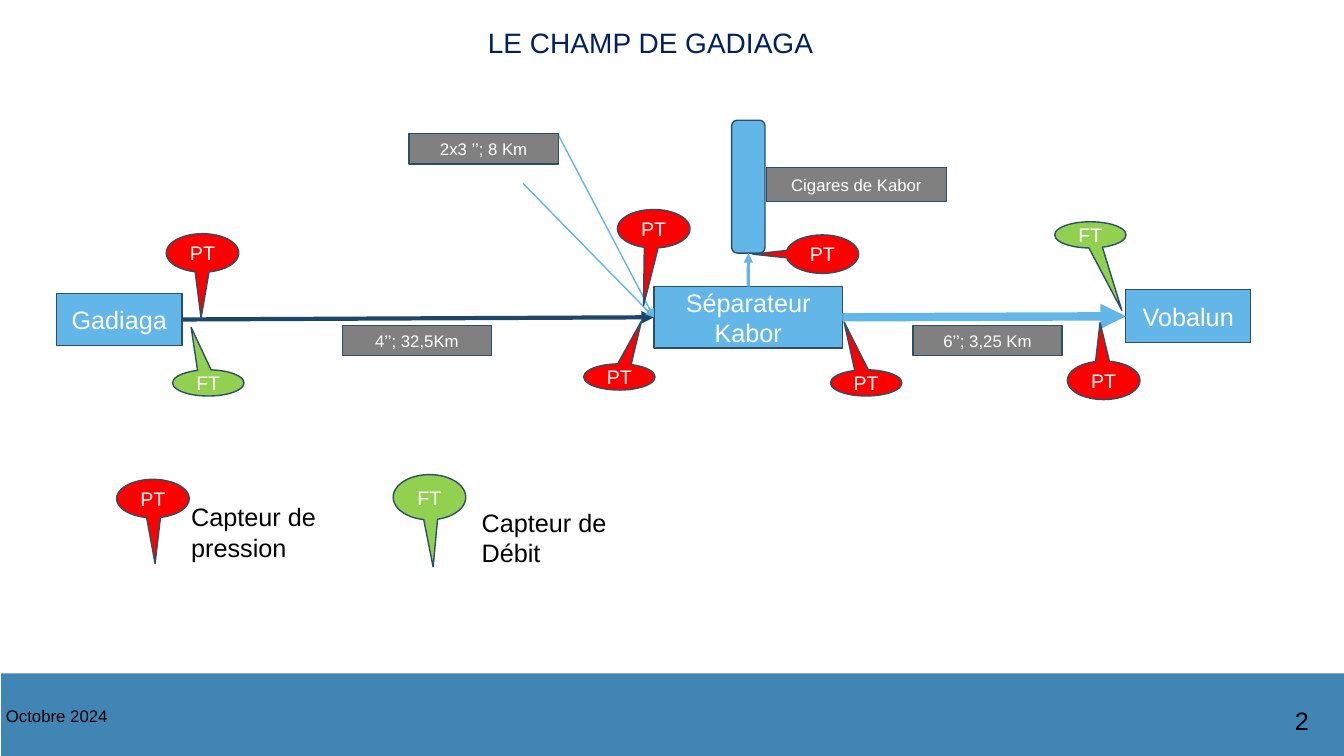
import lxml.etree
import pptx
import pptx.dml.color
import pptx.enum.shapes
import pptx.enum.text
import pptx.oxml.ns
import pptx.util

Cm = pptx.util.Cm
Pt = pptx.util.Pt
RGBColor = pptx.dml.color.RGBColor
SHAPE = pptx.enum.shapes.MSO_SHAPE
ALIGN = pptx.enum.text.PP_ALIGN
ANCHOR = pptx.enum.text.MSO_ANCHOR
qn = pptx.oxml.ns.qn

NAVY = RGBColor(0x00, 0x20, 0x60)
FOOTER_BLUE = RGBColor(0x41, 0x85, 0xB5)
SKY = RGBColor(0x62, 0xB7, 0xE8)
OUTLINE = RGBColor(0x2B, 0x50, 0x66)
PIPE_DARK = RGBColor(0x1E, 0x46, 0x6A)
GREY = RGBColor(0x80, 0x80, 0x80)
RED = RGBColor(0xFF, 0x00, 0x00)
GREEN = RGBColor(0x92, 0xD0, 0x50)
WHITE = RGBColor(0xFF, 0xFF, 0xFF)
BLACK = RGBColor(0x00, 0x00, 0x00)

TOP, LEFT, BOTTOM, RIGHT = range(4)
LABEL_SIZE = (3.76, 0.76)
LARGE = (1.83, 0.97)
SMALL = (1.8, 0.66)


def write(frame, text, size, color, align=ALIGN.LEFT):
    frame.word_wrap = True
    paragraph = frame.paragraphs[0]
    paragraph.text = text
    paragraph.alignment = align
    paragraph.font.name = "Arial"
    paragraph.font.size = Pt(size)
    paragraph.font.color.rgb = color
    return paragraph


def add_title(slide, text):
    title = slide.shapes.title
    title.left, title.top, title.width, title.height = map(Cm, (5.08, 0.08, 22.63, 1.35))
    title.text_frame.vertical_anchor = ANCHOR.TOP
    write(title.text_frame, text, 20, NAVY, ALIGN.CENTER).line_spacing = 1.5


def add_text(slide, text, box, size):
    write(slide.shapes.add_textbox(*map(Cm, box)).text_frame, text, size, BLACK)


def add_block(slide, kind, box, fill, text="", size=18, outlined=True):
    block = slide.shapes.add_shape(kind, *map(Cm, box))
    block.shadow.inherit = False
    block.fill.solid()
    block.fill.fore_color.rgb = fill
    if outlined:
        block.line.color.rgb = OUTLINE
        block.line.width = Pt(1)
    else:
        block.line.fill.background()
    if text:
        block.text_frame.vertical_anchor = ANCHOR.MIDDLE
        write(block.text_frame, text, size, WHITE, ALIGN.CENTER)
    return block


def add_sensor(slide, text, position, size, tip):
    """The tip is given in shares of the ellipse size, from its centre."""
    fill = RED if text == "PT" else GREEN
    sensor = add_block(slide, SHAPE.OVAL_CALLOUT, position + size, fill, text, 14)
    sensor.adjustments[0], sensor.adjustments[1] = tip


def add_pipe(slide, start, end, color, width):
    """The start is either a point or a (block, side) pair, the end such a pair."""
    pipe = slide.shapes.add_connector(pptx.enum.shapes.MSO_CONNECTOR.STRAIGHT, 0, 0, 0, 0)
    if isinstance(start[0], float):
        pipe.begin_x, pipe.begin_y = map(Cm, start)
    else:
        pipe.begin_connect(*start)
    pipe.end_connect(*end)
    pipe.line.color.rgb = color
    pipe.line.width = Pt(width)
    lxml.etree.SubElement(pipe.line._get_or_add_ln(), qn("a:tailEnd"), type="triangle")
    lxml.etree.SubElement(pipe._element.spPr, qn("a:effectLst"))


def main():
    deck = pptx.Presentation()
    deck.slide_width, deck.slide_height = Cm(33.87), Cm(19.05)
    slide = deck.slides.add_slide(deck.slide_layouts[5])
    add_title(slide, "LE CHAMP DE GADIAGA")

    # Footer
    add_block(slide, SHAPE.RECTANGLE, (0.03, 16.97, 33.84, 2.08), FOOTER_BLUE, outlined=False)
    add_text(slide, "2", (32.38, 17.65, 1, 1.02), 18)
    add_text(slide, "Octobre 2024", (-0.1, 17.65, 3.2, 0.76), 12)

    # Stations
    gadiaga = add_block(slide, SHAPE.RECTANGLE, (1.42, 7.39, 3.17, 1.32), SKY, "Gadiaga")
    separator = add_block(slide, SHAPE.RECTANGLE, (16.48, 7.22, 4.75, 1.55), SKY,
                          "Séparateur Kabor")
    client = add_block(slide, SHAPE.RECTANGLE, (28.37, 7.3, 3.15, 1.34), SKY, "Vobalun")
    cigars = add_block(slide, SHAPE.ROUNDED_RECTANGLE, (18.44, 3.03, 0.84, 3.35), SKY)

    # Pipelines
    inlet = (separator, LEFT)
    add_pipe(slide, (gadiaga, RIGHT), inlet, PIPE_DARK, 3)
    add_pipe(slide, (13.18, 4.62), inlet, SKY, 1)
    add_pipe(slide, (14.07, 3.4), inlet, SKY, 1)
    add_pipe(slide, (separator, RIGHT), (client, LEFT), SKY, 6)
    add_pipe(slide, (separator, TOP), (cigars, BOTTOM), SKY, 2.25)

    # Pipeline labels
    for text, box in (
        ("4’’; 32,5Km", (8.63, 8.2) + LABEL_SIZE),
        ("6’’; 3,25 Km", (23.01, 8.2) + LABEL_SIZE),
        ("2x3 ’’; 8 Km", (10.31, 3.37) + LABEL_SIZE),
        ("Cigares de Kabor", (19.31, 4.22, 4.55, 0.86)),
    ):
        add_block(slide, SHAPE.RECTANGLE, box, GREY, text, 12)

    # Pressure and flow sensors, the legend's two last
    for text, position, size, tip in (
        ("PT", (4.19, 5.89), LARGE, (-0.02, 1.69)),
        ("PT", (14.71, 9.17), SMALL, (0.31, -2.14)),
        ("PT", (15.56, 5.28), LARGE, (-0.14, 2)),
        ("PT", (19.81, 5.92), LARGE, (-0.96, 0)),
        ("PT", (26.9, 9.1), LARGE, (-0.05, -1.5)),
        ("PT", (20.93, 9.32), SMALL, (-0.31, -2.33)),
        ("FT", (4.35, 9.32), SMALL, (-0.24, -2.12)),
        ("FT", (26.58, 5.59), SMALL, (0.44, 2.88)),
        ("PT", (2.94, 12.08), LARGE, (0.03, 1.69)),
        ("FT", (9.91, 11.96), (1.83, 1.14), (0.05, 1.54)),
    ):
        add_sensor(slide, text, position, size, tip)

    # Legend
    add_text(slide, "Capteur de pression", (4.57, 12.52, 4.9, 1.8), 18)
    add_text(slide, "Capteur de Débit", (11.89, 12.65, 4.37, 1.8), 18)

    deck.save("out.pptx")


if __name__ == "__main__":
    main()
